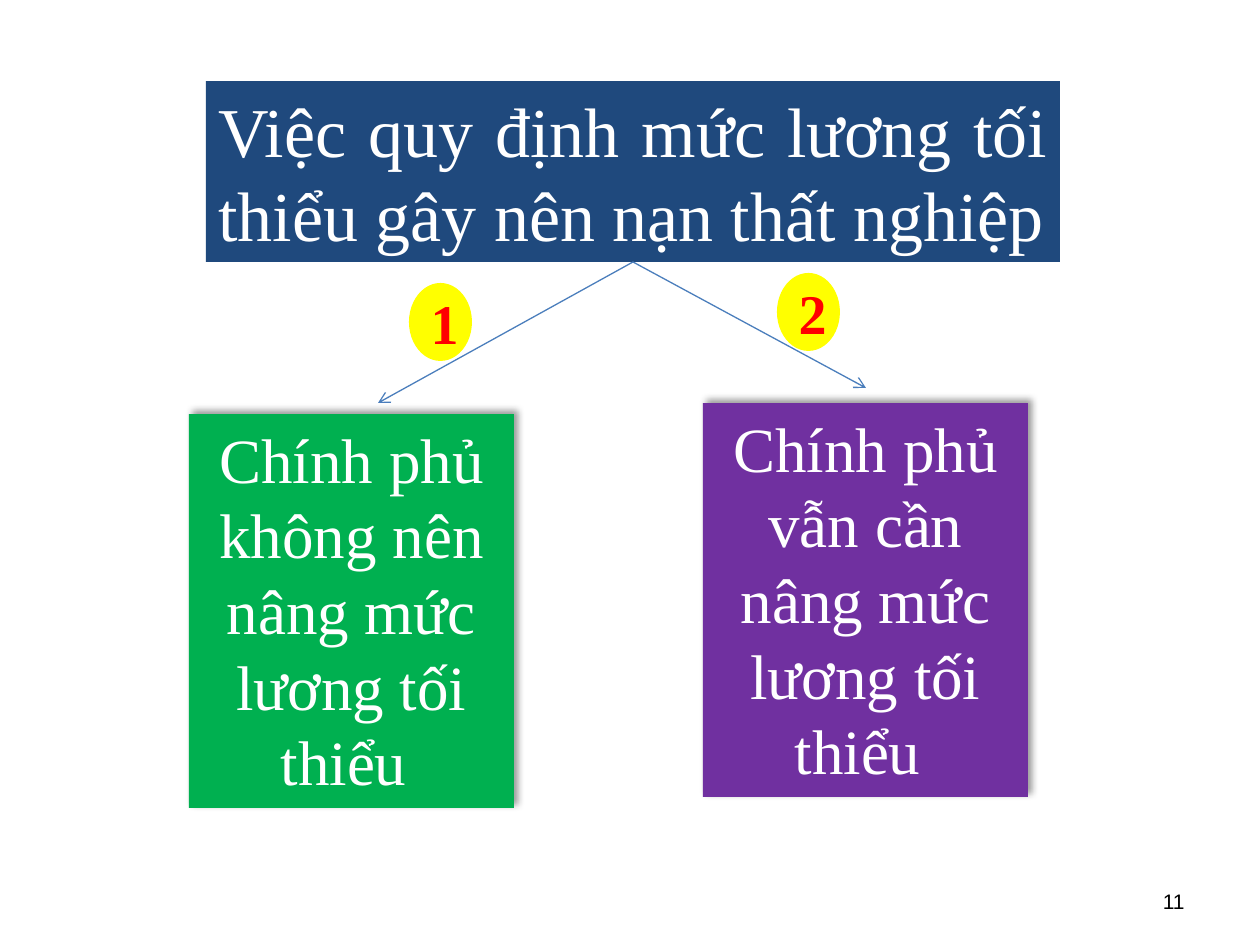
import pptx
import pptx.util
from dataclasses import dataclass
from lxml import etree
from pptx.dml.color import RGBColor
from pptx.enum.shapes import MSO_CONNECTOR, MSO_SHAPE
from pptx.enum.text import MSO_ANCHOR, PP_ALIGN
from pptx.oxml import parse_xml
from pptx.oxml.ns import nsdecls, qn


@dataclass(frozen=True)
class Theme:
    title_fill: str = "1F497D"
    badge_fill: str = "FFFF00"
    badge_text: str = "FF0000"
    light: str = "FFFFFF"
    dark: str = "000000"
    arrow: str = "4B7EBC"
    serif: str = "Times New Roman"
    sans: str = "Arial"
    title_size: int = 40
    option_size: int = 36
    badge_size: int = 32
    number_size: int = 12


THEME = Theme()
SLIDE_SIZE = (1260, 945)
TITLE = "Việc quy định mức lương tối thiểu gây nên nạn thất nghiệp"
TITLE_BOX = (206, 81, 854, 181)
OPTION_SIZE = (325, 394)
BADGE_SIZE = (63, 78)
OPTIONS = [
    dict(number="1", text="Chính phủ không nên nâng mức lương tối thiểu ", fill="00B050",
         corner=(189, 414), badge=(409, 283), arrow_end=(378, 403)),
    dict(number="2", text="Chính phủ vẫn cần nâng mức lương tối thiểu ", fill="7030A0",
         corner=(703, 403), badge=(777, 273), arrow_end=(866, 388)),
]
PAGE_NUMBER = "11"
PAGE_NUMBER_BOX = (903, 876, 294, 50)


def px(value):
    return pptx.util.Emu(round(value * 914400 / 126))


def write(shape, text, size, color, align, anchor=MSO_ANCHOR.TOP, font=THEME.serif, bold=False):
    frame = shape.text_frame
    frame.word_wrap = True
    frame.vertical_anchor = anchor
    paragraph = frame.paragraphs[0]
    paragraph.alignment = align
    run = paragraph.add_run()
    run.text = text
    run.font.name = font
    run.font.size = pptx.util.Pt(size)
    run.font.bold = bold
    run.font.color.rgb = RGBColor.from_string(color)


def add_block(slide, preset, box, fill):
    block = slide.shapes.add_shape(preset, *map(px, box))
    block.shadow.inherit = False
    block.fill.solid()
    block.fill.fore_color.rgb = RGBColor.from_string(fill)
    block.line.fill.background()
    return block


def cast_shadow(block):
    """Soft shadow towards the upper right."""
    effects = block._element.spPr.find(qn("a:effectLst"))
    effects.append(parse_xml(
        f'<a:outerShdw {nsdecls("a")} blurRad="50800" dist="38100" dir="18900000" '
        'algn="bl" rotWithShape="0">'
        f'<a:srgbClr val="{THEME.dark}"><a:alpha val="40000"/></a:srgbClr></a:outerShdw>'))


def add_arrow(slide, source, end):
    arrow = slide.shapes.add_connector(MSO_CONNECTOR.STRAIGHT, 0, 0, *map(px, end))
    arrow.begin_connect(source, 2)
    arrow.line.color.rgb = RGBColor.from_string(THEME.arrow)
    arrow.line.width = pptx.util.Pt(0.75)
    etree.SubElement(arrow.line._get_or_add_ln(), qn("a:tailEnd"), type="arrow")
    etree.SubElement(arrow._element.spPr, qn("a:effectLst"))


def main():
    deck = pptx.Presentation()
    deck.slide_width, deck.slide_height = map(px, SLIDE_SIZE)
    slide = deck.slides.add_slide(deck.slide_layouts[6])

    title = add_block(slide, MSO_SHAPE.RECTANGLE, TITLE_BOX, THEME.title_fill)
    write(title, TITLE, THEME.title_size, THEME.light, PP_ALIGN.JUSTIFY)

    page_number = slide.shapes.add_textbox(*map(px, PAGE_NUMBER_BOX))
    write(page_number, PAGE_NUMBER, THEME.number_size, THEME.dark, PP_ALIGN.RIGHT,
          MSO_ANCHOR.MIDDLE, THEME.sans)

    for option in OPTIONS:
        card = add_block(slide, MSO_SHAPE.RECTANGLE, option["corner"] + OPTION_SIZE, option["fill"])
        cast_shadow(card)
        write(card, option["text"], THEME.option_size, THEME.light, PP_ALIGN.CENTER)
        add_arrow(slide, title, option["arrow_end"])
        badge = add_block(slide, MSO_SHAPE.OVAL, option["badge"] + BADGE_SIZE, THEME.badge_fill)
        write(badge, option["number"], THEME.badge_size, THEME.badge_text, PP_ALIGN.CENTER,
              MSO_ANCHOR.MIDDLE, bold=True)

    deck.save("out.pptx")


if __name__ == "__main__":
    main()
